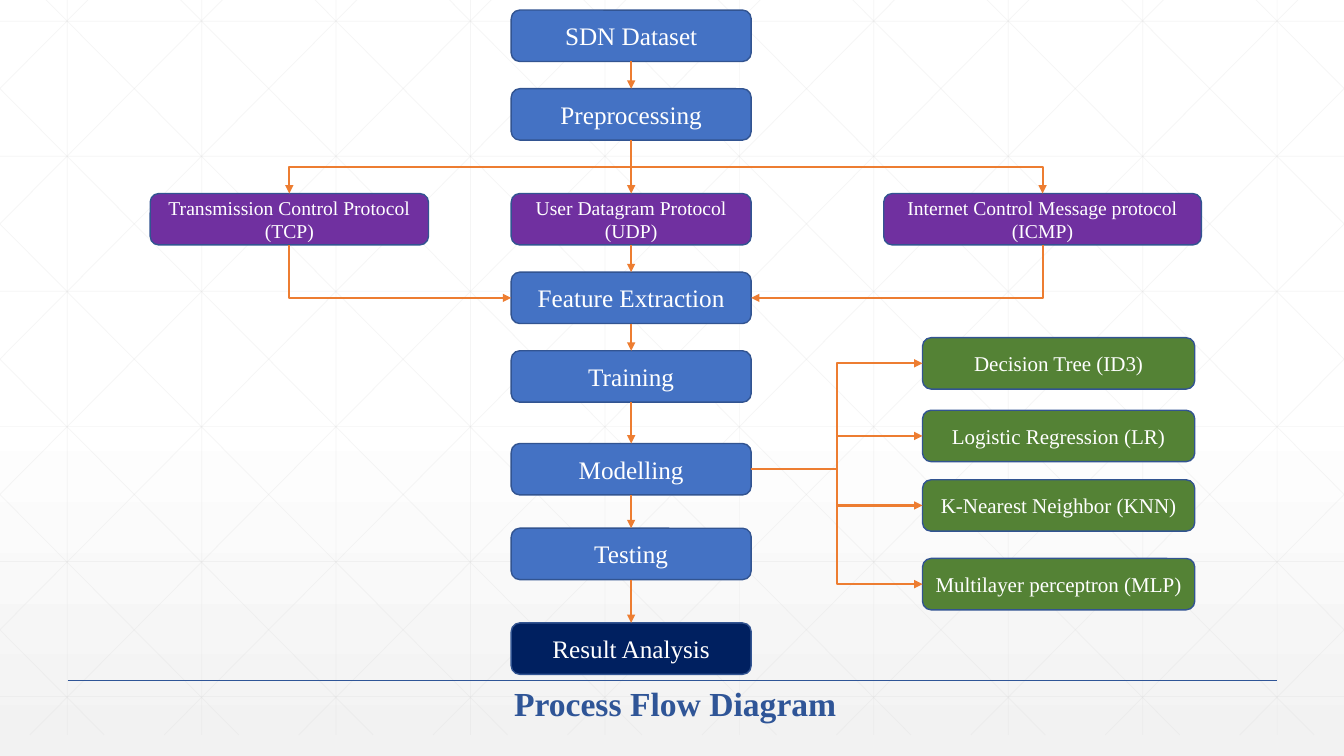
import lxml.etree
import pptx
import pptx.dml.color
import pptx.enum.shapes
import pptx.enum.text
import pptx.oxml.ns
import pptx.util

RGBColor = pptx.dml.color.RGBColor
Inches = pptx.util.Inches
Pt = pptx.util.Pt
Connector = pptx.enum.shapes.MSO_CONNECTOR
Align = pptx.enum.text.PP_ALIGN
Anchor = pptx.enum.text.MSO_ANCHOR
qn = pptx.oxml.ns.qn

WHITE = RGBColor(0xFF, 0xFF, 0xFF)
PALE_GRAY = RGBColor(0xF2, 0xF2, 0xF2)
MESH_GRAY = RGBColor(0xD9, 0xD9, 0xD9)
TITLE_BLUE = RGBColor(0x2F, 0x55, 0x97)
BORDER_BLUE = RGBColor(0x32, 0x54, 0x91)
STEP_BLUE = RGBColor(0x44, 0x72, 0xC4)
RESULT_NAVY = RGBColor(0x00, 0x20, 0x60)
PROTOCOL_PURPLE = RGBColor(0x70, 0x30, 0xA0)
MODEL_GREEN = RGBColor(0x54, 0x82, 0x35)
ARROW_ORANGE = RGBColor(0xED, 0x7D, 0x31)

WIDTH, HEIGHT = 13.33, 7.5
MESH_TOP, MESH_BOTTOM, MESH_STEP = -0.21, 7.29, 4 / 3
SPINE_X, STEP_WIDTH, BOX_HEIGHT = 6.26, 2.38, 0.51
PROTOCOL_TOP, MODEL_X, MODEL_WIDTH = 1.92, 10.5, 2.7

SPINE = [
    ("SDN Dataset", 0.1, STEP_BLUE, 18),
    ("Preprocessing", 0.88, STEP_BLUE, 18),
    ("User Datagram Protocol (UDP)", PROTOCOL_TOP, PROTOCOL_PURPLE, 14),
    ("Feature Extraction", 2.7, STEP_BLUE, 18),
    ("Training", 3.48, STEP_BLUE, 18),
    ("Modelling", 4.4, STEP_BLUE, 18),
    ("Testing", 5.24, STEP_BLUE, 18),
    ("Result Analysis", 6.18, RESULT_NAVY, 18),
]
SIDE_PROTOCOLS = [
    ("Transmission Control Protocol (TCP)", 2.87, 2.76, -1),
    ("Internet Control Message protocol (ICMP)", 10.34, 3.15, 1),
]
MODELS = [
    ("Decision Tree (ID3)", 3.35),
    ("Logistic Regression (LR)", 4.07),
    ("K-Nearest Neighbor (KNN)", 4.76),
    ("Multilayer perceptron (MLP)", 5.54),
]


class FlowSlide:
    """Draw styled flow chart elements on one slide."""

    font_name = "Times New Roman"

    def __init__(self, slide):
        self.slide = slide

    def apply(self, target, values):
        for name, value in values.items():
            setattr(target, name, value)

    def background(self):
        fill = self.slide.background.fill
        fill.gradient()
        fill.gradient_angle = 270
        for stop, position, color in zip(fill.gradient_stops, (0.53, 1), (WHITE, PALE_GRAY)):
            stop.position = position
            stop.color.rgb = color

    def label(self, frame, text, size, color, bold, anchor, alignment):
        self.apply(frame, {"word_wrap": True, "vertical_anchor": anchor})
        paragraph = frame.paragraphs[0]
        self.apply(paragraph, {"text": text, "alignment": alignment})
        font = paragraph.runs[0].font
        self.apply(font, {"name": self.font_name, "size": Pt(size), "bold": bold})
        font.color.rgb = color
        return paragraph

    def title(self, text, left, top, width, height):
        shape = self.slide.shapes.add_textbox(*map(Inches, (left, top, width, height)))
        paragraph = self.label(shape.text_frame, text, 24, TITLE_BLUE, True, Anchor.BOTTOM, Align.LEFT)
        paragraph.line_spacing = 0.9

    def box(self, text, center, top, width, color, size):
        shape = self.slide.shapes.add_shape(
            pptx.enum.shapes.MSO_SHAPE.ROUNDED_RECTANGLE,
            *map(Inches, (center - width / 2, top, width, BOX_HEIGHT)))
        shape.shadow.inherit = False
        shape.fill.solid()
        shape.fill.fore_color.rgb = color
        shape.line.color.rgb = BORDER_BLUE
        shape.line.width = Pt(1)
        self.label(shape.text_frame, text, size, WHITE, False, Anchor.MIDDLE, Align.CENTER)

    def line(self, start, end, color, width, kind=Connector.STRAIGHT):
        connector = self.slide.shapes.add_connector(kind, *map(Inches, (*start, *end)))
        connector.line.color.rgb = color
        connector.line.width = Pt(width)
        lxml.etree.SubElement(connector._element.spPr, qn("a:effectLst"))
        return connector

    def mesh_line(self, start, end):
        connector = self.line(start, end, MESH_GRAY, 0.5)
        color = connector._element.spPr.find(".//" + qn("a:srgbClr"))
        lxml.etree.SubElement(color, qn("a:alpha"), val="25000")

    def arrow(self, start, end, kind=Connector.STRAIGHT):
        connector = self.line(start, end, ARROW_ORANGE, 1.5, kind)
        outline = connector._element.spPr.find(qn("a:ln"))
        lxml.etree.SubElement(outline, qn("a:tailEnd"), type="triangle")
        return connector

    def down_elbow(self, start, end, preset):
        """Draw an elbow arrow that leaves its start downwards."""
        across, drop = end[0] - start[0], end[1] - start[1]
        center_x, center_y = start[0] + across / 2, start[1] + drop / 2
        half_width = drop / 2 if across > 0 else -drop / 2
        half_height = abs(across) / 2
        connector = self.arrow((center_x + half_width, center_y - half_height),
                               (center_x - half_width, center_y + half_height), Connector.ELBOW)
        properties = connector._element.spPr
        properties.find(qn("a:xfrm")).set("rot", str((270 if across > 0 else 90) * 60000))
        properties.find(qn("a:prstGeom")).set("prst", preset)

    def mesh(self):
        for column in range(10):
            x = MESH_STEP * (column + 0.5)
            self.mesh_line((x, MESH_TOP), (x, MESH_BOTTOM))
        for row in range(6):
            y = 0.21 + 1.34 * row
            self.mesh_line((0, y), (WIDTH, y))
        run = 7.45
        slope = (MESH_BOTTOM - MESH_TOP) / run
        for index in range(-5, 10):
            origin = 0.25 + MESH_STEP * index
            ends = [(x, MESH_TOP + (x - origin) * slope)
                    for x in (max(origin, 0), min(origin + run, WIDTH))]
            self.mesh_line(*ends)
            self.mesh_line(*[(WIDTH - x, y) for x, y in ends])


def main():
    presentation = pptx.Presentation()
    presentation.slide_width = Inches(WIDTH)
    presentation.slide_height = Inches(HEIGHT)
    flow = FlowSlide(presentation.slides.add_slide(presentation.slide_layouts[6]))
    flow.background()
    flow.mesh()
    flow.line((0.67, 6.75), (12.67, 6.75), TITLE_BLUE, 1)
    flow.title("Process Flow Diagram", 5, 6.73, 3.52, 0.5)

    for text, top, color, size in SPINE:
        flow.box(text, SPINE_X, top, STEP_WIDTH, color, size)
    for upper, lower in zip(SPINE, SPINE[1:]):
        flow.arrow((SPINE_X, upper[1] + BOX_HEIGHT), (SPINE_X, lower[1]))

    tops = {text: top for text, top, color, size in SPINE}
    split_y = tops["Preprocessing"] + BOX_HEIGHT
    merge_y = tops["Feature Extraction"] + BOX_HEIGHT / 2
    for text, center, width, side in SIDE_PROTOCOLS:
        flow.box(text, center, PROTOCOL_TOP, width, PROTOCOL_PURPLE, 14)
        flow.down_elbow((SPINE_X, split_y), (center, PROTOCOL_TOP), "bentConnector3")
        flow.down_elbow((center, PROTOCOL_TOP + BOX_HEIGHT),
                        (SPINE_X + side * STEP_WIDTH / 2, merge_y), "bentConnector2")

    modelling = (SPINE_X + STEP_WIDTH / 2, tops["Modelling"] + BOX_HEIGHT / 2)
    for text, top in MODELS:
        flow.box(text, MODEL_X, top, MODEL_WIDTH, MODEL_GREEN, 15)
        flow.arrow(modelling, (MODEL_X - MODEL_WIDTH / 2, top + BOX_HEIGHT / 2), Connector.ELBOW)

    presentation.save("out.pptx")


if __name__ == "__main__":
    main()
